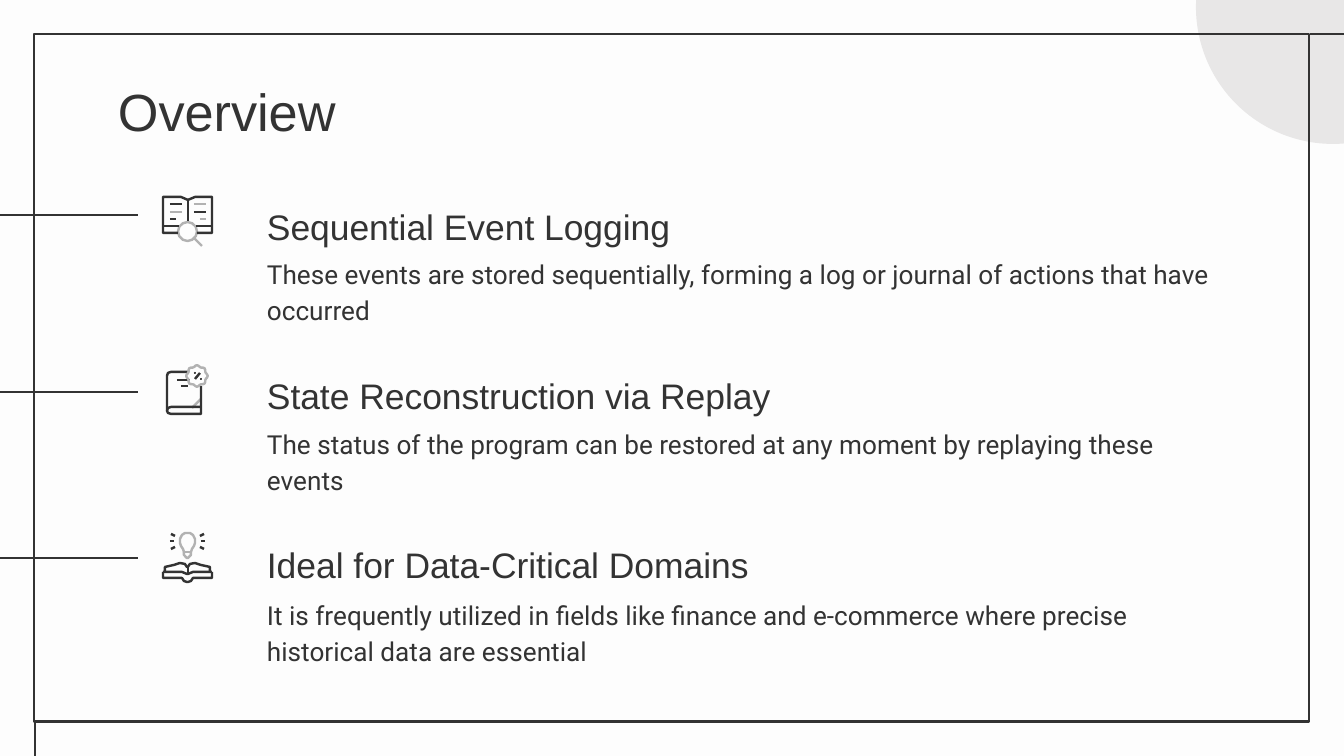
import math

import pptx
import pptx.dml.color
import pptx.enum.shapes
import pptx.enum.text
import pptx.oxml.ns
import pptx.util
import lxml.etree

SCALE = 914400 / 134.4  # EMU in one px
THEME = {
    "paper": "FDFDFD", "ink": "333333", "grey": "B2B2B2", "disc": "E8E7E7",
    "head_font": "Arial", "body_font": "Roboto",
    "title": 28, "heading": 19, "body": 14,
    "frame_line": 1.5, "icon_line": 1.3,
}
INK, GREY = THEME["ink"], THEME["grey"]


def rgb(code):
    return pptx.dml.color.RGBColor.from_string(code)


def stroke(points, colour, width):
    """Draw a connector through two px points, or an unfilled outline through more."""
    emu = [(round(x * SCALE), round(y * SCALE)) for x, y in points]
    if len(emu) == 2:
        line = page.shapes.add_connector(
            pptx.enum.shapes.MSO_CONNECTOR.STRAIGHT, *emu[0], *emu[1])
        lxml.etree.SubElement(line._element.spPr, pptx.oxml.ns.qn("a:effectLst"))
    else:
        builder = page.shapes.build_freeform(*emu[0])
        builder.add_line_segments(emu[1:], close=False)
        line = builder.convert_to_shape()
        line.fill.background()
        line.shadow.inherit = False
    line.line.color.rgb = rgb(colour)
    line.line.width = pptx.util.Pt(width)


deck = pptx.Presentation()
deck.slide_width = round(1344 * SCALE)
deck.slide_height = round(756 * SCALE)
page = deck.slides.add_slide(deck.slide_layouts[6])
page.background.fill.solid()
page.background.fill.fore_color.rgb = rgb(THEME["paper"])

# Corner disc, frame, magnifier lens and the two dots of the percent sign
oval = pptx.enum.shapes.MSO_SHAPE.OVAL
rectangle = pptx.enum.shapes.MSO_SHAPE.RECTANGLE
for kind, left, top, width, height, fill, outline, weight in [
    (oval, 1196, -130, 274, 274, THEME["disc"], None, 0),
    (rectangle, 34, 34, 1275, 688, None, INK, THEME["frame_line"]),
    (oval, 178, 222, 19, 19, None, GREY, THEME["icon_line"]),
    (oval, 194, 372, 2, 2, INK, None, 0),
    (oval, 200, 378, 2, 2, INK, None, 0),
]:
    shape = page.shapes.add_shape(
        kind, *(round(n * SCALE) for n in (left, top, width, height)))
    shape.shadow.inherit = False
    if fill:
        shape.fill.solid()
        shape.fill.fore_color.rgb = rgb(fill)
    else:
        shape.fill.background()
    if outline:
        shape.line.color.rgb = rgb(outline)
        shape.line.width = pptx.util.Pt(weight)
    else:
        shape.line.fill.background()

# Rails that run into the page, and the frame's two loose ends
rails = [[(0, y), (138, y)] for y in (215, 392, 558)]
for points in rails + [[(1355, 34), (1310, 34)], [(35, 723), (35, 769)]]:
    stroke(points, INK, THEME["frame_line"])

# Open book with magnifier
icon_strokes = [
    (INK, [(178, 233), (163, 233), (163, 197), (181, 197), (188, 200),
           (195, 197), (212, 197), (212, 233), (197, 233)]),
    (INK, [(163, 226), (179, 226)]),
    (INK, [(196, 226), (212, 226)]),
    (INK, [(188, 200), (188, 221)]),
    (GREY, [(194, 238), (202, 246)]),
]
for y, left_end, right_start, left_colour, right_colour in [
    (204, 182, 194, INK, GREY),
    (212, 182, 194, GREY, INK),
    (219, 176, 200, INK, GREY),
]:
    icon_strokes += [(left_colour, [(170, y), (left_end, y)]),
                     (right_colour, [(right_start, y), (206, y)])]

# Closed book with scalloped badge
badge = []
for degrees in range(0, 361, 9):
    angle = math.radians(degrees)
    radius = 10 + 0.8 * math.cos(8 * angle)
    badge.append((197 + radius * math.cos(angle), 376 + radius * math.sin(angle)))
icon_strokes += [
    (GREY, [(192, 408), (201, 399)]),
    (INK, [(189, 372), (171, 372), (168, 373), (167, 376), (167, 411),
           (168, 413), (171, 414), (201, 414), (201, 386)]),
    (INK, [(167, 411), (168, 408), (171, 407), (201, 407)]),
    (INK, [(177, 380), (190, 380)]),
    (INK, [(181, 386), (188, 386)]),
    (GREY, badge),
    (INK, [(195, 379), (200, 373)]),
]

# Book with light bulb: left halves, mirrored about the spine
for colour, half, joined in [
    (INK, [(165, 571), (165, 567), (174, 565), (180, 563), (185, 564), (187, 567)], True),
    (INK, [(163, 572), (182, 572), (187, 574)], True),
    (INK, [(163, 572), (163, 578), (182, 578), (184, 581), (187, 582)], True),
    (INK, [(170, 541), (174, 541)], False),
    (INK, [(171, 534), (175, 536)], False),
    (INK, [(171, 549), (175, 547)], False),
    (GREY, [(184, 552), (183, 549), (181, 546), (180, 543), (180, 539),
            (182, 535), (185, 533), (187, 533)], True),
    (GREY, [(184, 552), (184, 555), (187, 558)], True),
    (GREY, [(184, 552), (187, 552)], True),
]:
    mirrored = [(375 - x, y) for x, y in reversed(half)]
    halves = [half + mirrored] if joined else [half, mirrored]
    icon_strokes += [(colour, points) for points in halves]
icon_strokes.append((INK, [(188, 567), (188, 574)]))

for colour, points in icon_strokes:
    stroke(points, colour, THEME["icon_line"])

# Title, then each heading with its sentence
texts = [("Overview", 105, 66, 1133, 85, "title")]
for heading, heading_top, body, body_top in [
    ("Sequential Event Logging", 183,
     "These events are stored sequentially, forming a log or journal of actions "
     "that have occurred", 241),
    ("State Reconstruction via Replay", 352,
     "The status of the program can be restored at any moment by replaying these "
     "events", 411),
    ("Ideal for Data-Critical Domains", 521,
     "It is frequently utilized in fields like finance and e-commerce where precise "
     "historical data are essential", 582),
]:
    texts += [(heading, 254, heading_top, 972, 78, "heading"),
              (body, 254, body_top, 972, 78, "body")]

anchors = pptx.enum.text.MSO_ANCHOR
for text, left, top, width, height, role in texts:
    box = page.shapes.add_textbox(
        *(round(n * SCALE) for n in (left, top, width, height)))
    frame = box.text_frame
    frame.word_wrap = True
    frame.margin_left = frame.margin_right = round(13 * SCALE)
    frame.margin_top = frame.margin_bottom = round(13 * SCALE)
    frame.vertical_anchor = anchors.BOTTOM if role == "heading" else anchors.TOP
    frame.text = text
    para = frame.paragraphs[0]
    if role != "title":
        para.line_spacing = 1.15
    span = para.runs[0]
    span.font.name = THEME["body_font" if role == "body" else "head_font"]
    span.font.size = pptx.util.Pt(THEME[role])
    span.font.color.rgb = rgb(INK)

deck.save("out.pptx")
